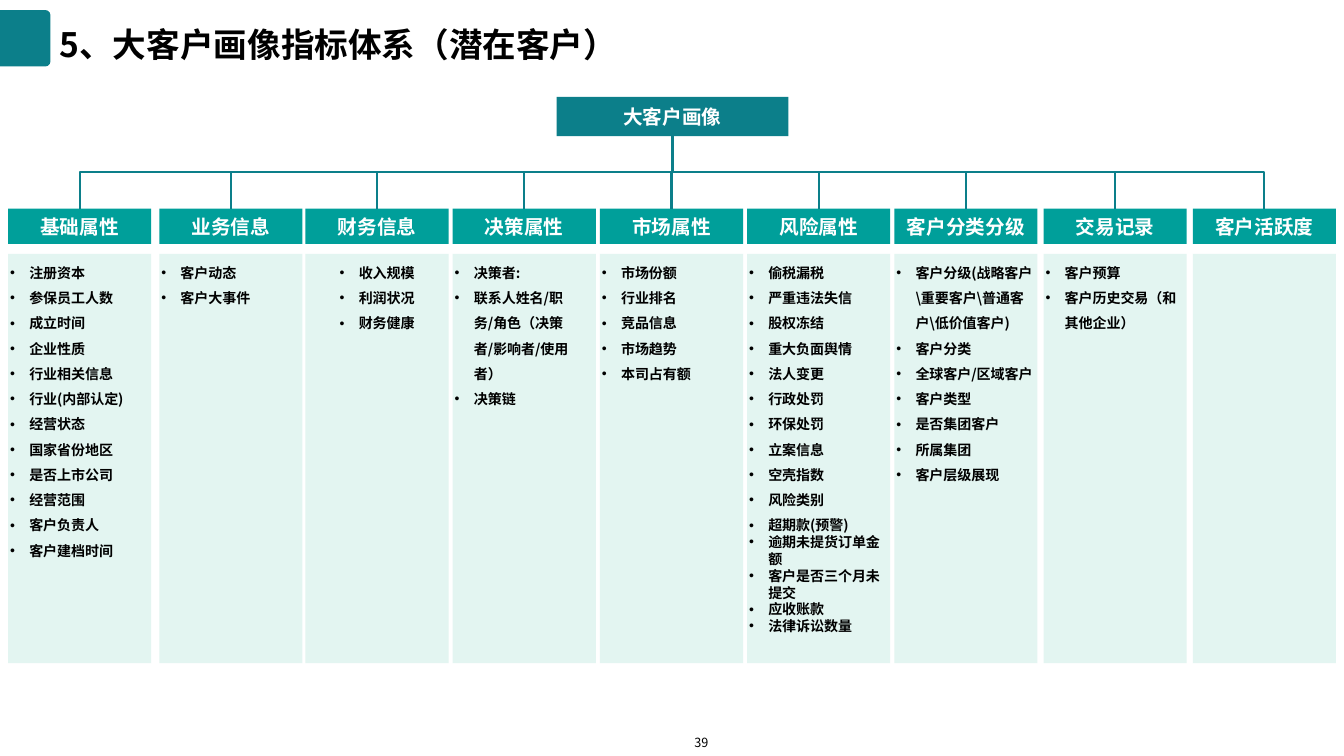
from dataclasses import dataclass

from lxml import etree
from pptx import Presentation
from pptx import util as u
from pptx.dml import color
from pptx.enum import shapes, text
from pptx.oxml import ns


@dataclass(frozen=True)
class Theme:
    font: str = "Noto Sans CJK SC"
    dark: str = "0C7F8A"
    teal: str = "009F9A"
    pale: str = "E3F5F1"
    white: str = "FFFFFF"
    black: str = "000000"
    title_size: int = 24
    label_size: int = 14
    item_size: int = 10
    number_size: int = 9


@dataclass(frozen=True)
class Column:
    left: float
    heading: str
    items: tuple = ()
    tight_items: tuple = ()  # listed last, with single line spacing
    align: str = "LEFT"


COLUMNS = [
    Column(0.08, "基础属性", (
        "注册资本", "参保员工人数", "成立时间", "企业性质", "行业相关信息", "行业(内部认定)",
        "经营状态", "国家省份地区", "是否上市公司", "经营范围", "客户负责人", "客户建档时间")),
    Column(1.58, "业务信息", ("客户动态", "客户大事件")),
    Column(3.03, "财务信息", ("收入规模", "利润状况", "财务健康"), align="CENTER"),
    Column(4.49, "决策属性", (
        "决策者:", "联系人姓名/职务/角色（决策者/影响者/使用者）", "决策链")),
    Column(5.95, "市场属性", ("市场份额", "行业排名", "竞品信息", "市场趋势", "本司占有额")),
    Column(7.41, "风险属性", (
        "偷税漏税", "严重违法失信", "股权冻结", "重大负面舆情", "法人变更", "行政处罚",
        "环保处罚", "立案信息", "空壳指数", "风险类别", "超期款(预警)"),
        ("逾期未提货订单金额", "客户是否三个月未提交", "应收账款", "法律诉讼数量")),
    Column(8.87, "客户分类分级", (
        "客户分级(战略客户\\重要客户\\普通客户\\低价值客户)", "客户分类", "全球客户/区域客户",
        "客户类型", "是否集团客户", "所属集团", "客户层级展现")),
    Column(10.35, "交易记录", ("客户预算", "客户历史交易（和其他企业）")),
    Column(11.83, "客户活跃度"),
]
COLUMN_WIDTH = 1.42
HEADING_TOP, HEADING_HEIGHT = 2.07, 0.35
LIST_TOP, LIST_HEIGHT = 2.52, 4.06


def write(para, words, *, theme, size, ink, bold=True, align="LEFT", spacing=1.0, bullet=False):
    """Fill one paragraph with formatted text."""
    if bullet:
        props = para._p.get_or_add_pPr()
        props.set("marL", str(u.Inches(0.19)))
        props.set("indent", str(-u.Inches(0.19)))
        etree.SubElement(props, ns.qn("a:buFont"), typeface="Arial")
        etree.SubElement(props, ns.qn("a:buChar"), char="•")
    para.alignment = getattr(text.PP_ALIGN, align)
    para.line_spacing = spacing
    para.space_before = u.Pt(0)
    span = para.add_run()
    span.text = words
    span.font.size = u.Pt(size)
    span.font.bold = bold
    span.font.color.rgb = color.RGBColor.from_string(ink)
    span.font.name = theme.font
    etree.SubElement(span.font._element, ns.qn("a:ea"), typeface=theme.font)


class PageBuilder:
    def __init__(self, page, theme):
        self.page = page
        self.theme = theme

    def frame(self, box, insets, anchor="TOP"):
        frame = box.text_frame
        frame.word_wrap = True
        frame.auto_size = text.MSO_AUTO_SIZE.NONE
        frame.vertical_anchor = getattr(text.MSO_ANCHOR, anchor)
        frame.margin_left = frame.margin_right = u.Inches(insets[0])
        frame.margin_top = frame.margin_bottom = u.Inches(insets[1])
        return frame

    def title(self, words, left, top, width, height):
        box = self.page.shapes.title
        box.left, box.top = u.Inches(left), u.Inches(top)
        box.width, box.height = u.Inches(width), u.Inches(height)
        write(self.frame(box, (0, 0), "MIDDLE").paragraphs[0], words, theme=self.theme,
              size=self.theme.title_size, ink=self.theme.black, spacing=1.3)

    def block(self, left, top, width, height, fill, kind=shapes.MSO_SHAPE.RECTANGLE):
        box = self.page.shapes.add_shape(
            kind, u.Inches(left), u.Inches(top), u.Inches(width), u.Inches(height))
        box.shadow.inherit = False
        box.fill.solid()
        box.fill.fore_color.rgb = color.RGBColor.from_string(fill)
        box.line.fill.background()
        return box

    def label(self, words, left, top, width, height, fill, inset=0):
        box = self.block(left, top, width, height, fill)
        write(self.frame(box, (inset, 0.05), "MIDDLE").paragraphs[0], words, theme=self.theme,
              size=self.theme.label_size, ink=self.theme.white, align="CENTER")
        return box

    def item_list(self, column):
        box = self.block(column.left, LIST_TOP, COLUMN_WIDTH, LIST_HEIGHT, self.theme.pale)
        frame = self.frame(box, (0.02, 0.02))
        for index, item in enumerate(column.items + column.tight_items):
            para = frame.add_paragraph() if index else frame.paragraphs[0]
            write(para, item, theme=self.theme, size=self.theme.item_size,
                  ink=self.theme.black, align=column.align, bullet=True,
                  spacing=1.5 if index < len(column.items) else 1.0)

    def branch(self, parent, child):
        """Elbow line that leaves the parent downwards and enters the child from above."""
        line = self.page.shapes.add_connector(shapes.MSO_CONNECTOR.ELBOW, 0, 0, 0, 0)
        line.begin_connect(parent, 2)
        line.end_connect(child, 0)
        start_x, start_y = parent.left + parent.width // 2, parent.top + parent.height
        end_x, end_y = child.left + child.width // 2, child.top
        # A quarter turn makes the elbow run down, across, down
        drop, reach = end_y - start_y, abs(end_x - start_x)
        line.left = (start_x + end_x - drop) // 2
        line.top = (start_y + end_y - reach) // 2
        line.width, line.height = drop, reach
        turn = line.element.spPr.xfrm
        turn.rot = 90
        turn.flipH, turn.flipV = False, end_x > start_x
        line.line.color.rgb = color.RGBColor.from_string(self.theme.dark)
        line.line.width = u.Pt(1.5)
        etree.SubElement(line.element.spPr, ns.qn("a:effectLst"))

    def page_number(self, words, left, top, width, height):
        box = self.page.shapes.add_textbox(
            u.Inches(left), u.Inches(top), u.Inches(width), u.Inches(height))
        write(self.frame(box, (0.04, 0.05)).paragraphs[0], words, theme=self.theme,
              size=self.theme.number_size, ink=self.theme.black, bold=False, align="CENTER")


def main():
    deck = Presentation()
    deck.slide_width, deck.slide_height = u.Inches(13.33), u.Inches(7.5)
    theme = Theme()
    builder = PageBuilder(deck.slides.add_slide(deck.slide_layouts[5]), theme)

    # Title with its corner tab
    tab = builder.block(-0.03, 0.13, 0.56, 0.5, theme.dark,
                        shapes.MSO_SHAPE.ROUND_2_SAME_RECTANGLE)
    tab.rotation = 90
    tab.adjustments[0] = 0.1
    builder.title("5、大客户画像指标体系（潜在客户）", 0.59, 0.1, 11.62, 0.56)

    # Tree: root, headings, branches and item lists
    root = builder.label("大客户画像", 5.52, 0.96, 2.3, 0.39, theme.dark, inset=0.1)
    for column in COLUMNS:
        heading = builder.label(column.heading, column.left, HEADING_TOP,
                                COLUMN_WIDTH, HEADING_HEIGHT, theme.teal)
        builder.branch(root, heading)
        builder.item_list(column)

    # Footer
    builder.page_number("39", 6.65, 7.24, 0.61, 0.25)
    deck.save("out.pptx")


if __name__ == "__main__":
    main()
